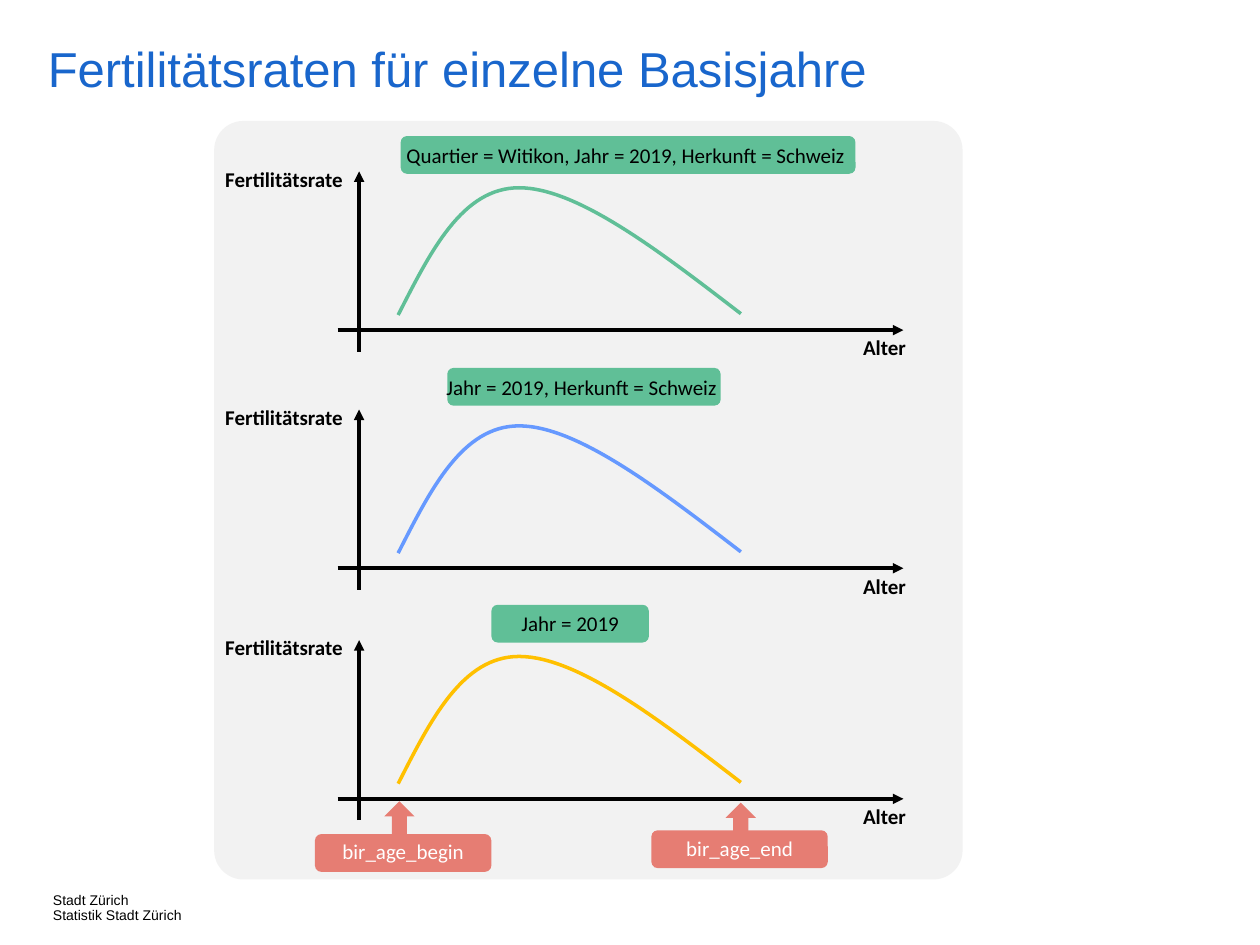
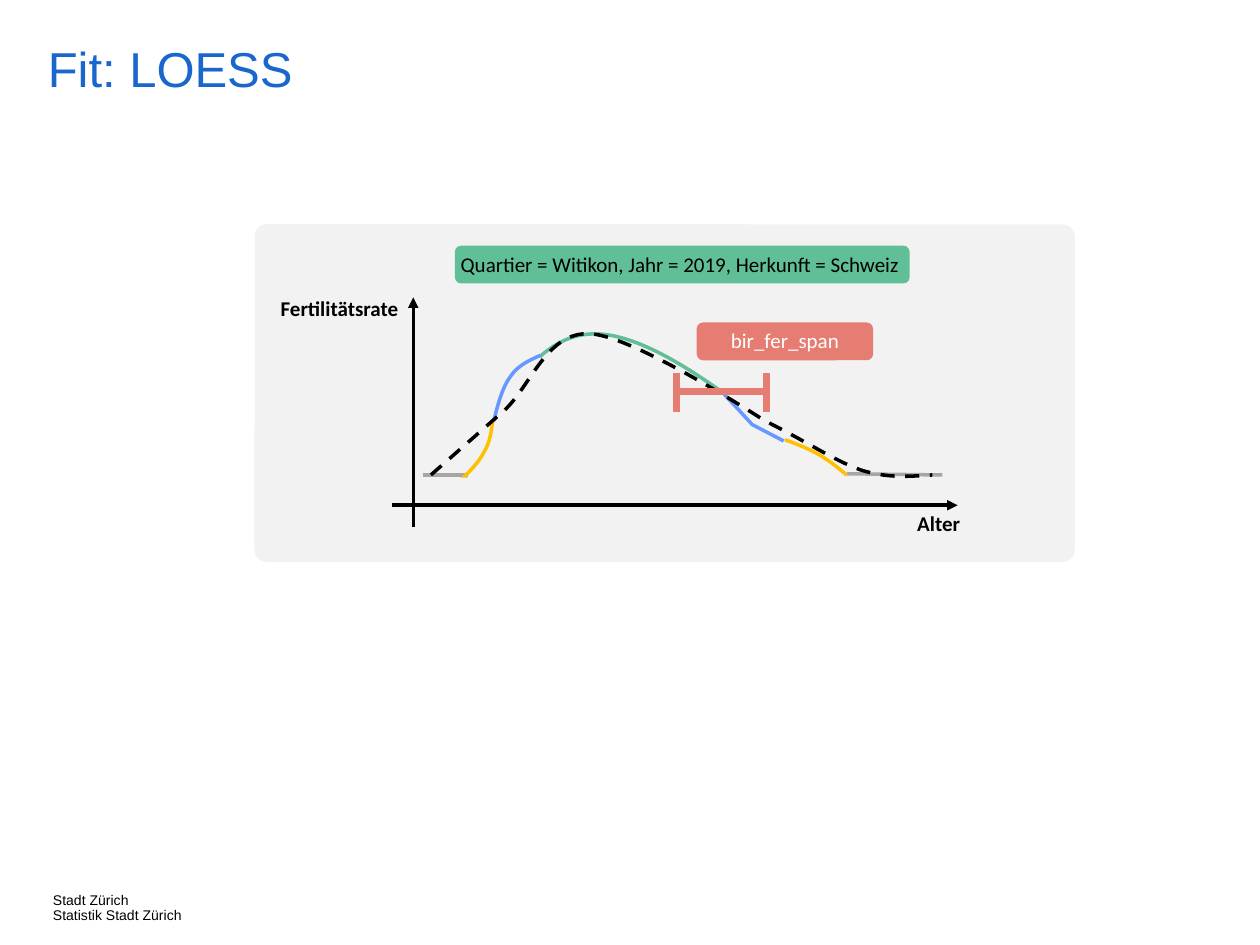
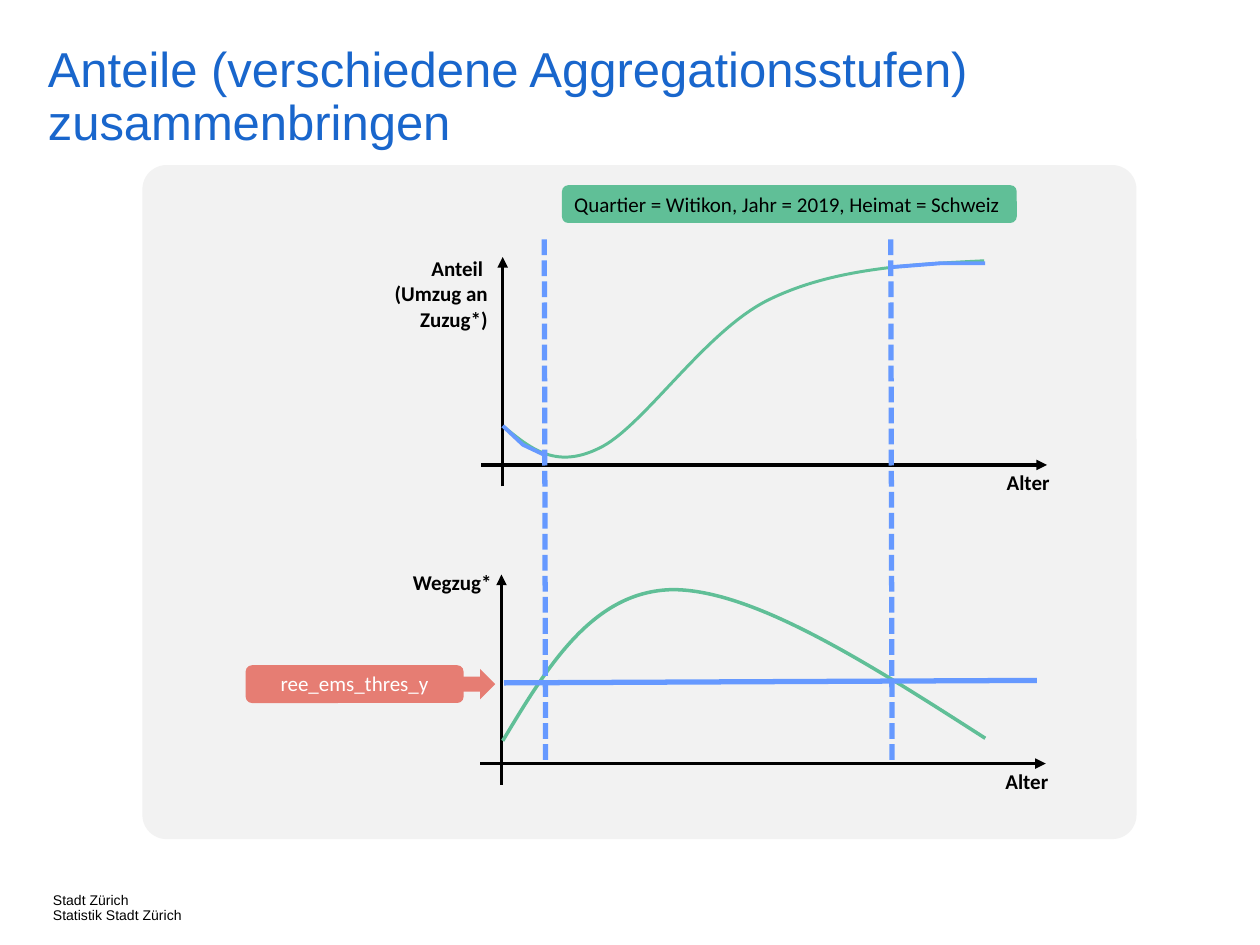
from dataclasses import dataclass
from itertools import chain, islice

from lxml import etree
from pptx import Presentation
from pptx.dml.color import RGBColor
from pptx.enum.dml import MSO_LINE
from pptx.enum.shapes import MSO_CONNECTOR, MSO_SHAPE
from pptx.enum.text import MSO_ANCHOR, MSO_AUTO_SIZE, PP_ALIGN
from pptx.oxml.ns import qn
from pptx.util import Inches, Pt

STRAIGHT = MSO_CONNECTOR.STRAIGHT
ROUNDED = MSO_SHAPE.ROUNDED_RECTANGLE
RECTANGLE = MSO_SHAPE.RECTANGLE
UP_ARROW = MSO_SHAPE.UP_ARROW
RIGHT_ARROW = MSO_SHAPE.RIGHT_ARROW
DASH = MSO_LINE.DASH
SHORT_DASH = MSO_LINE.SQUARE_DOT
TOP = MSO_ANCHOR.TOP
FIXED = MSO_AUTO_SIZE.NONE
LEFT = PP_ALIGN.LEFT
CENTER = PP_ALIGN.CENTER
RIGHT = PP_ALIGN.RIGHT
TITLE_ONLY = 5


@dataclass(frozen=True)
class Theme:
    title: str = "1966CC"
    black: str = "000000"
    white: str = "FFFFFF"
    panel: str = "F2F2F2"
    green: str = "60BF97"
    blue: str = "6699FF"
    yellow: str = "FFC000"
    red: str = "E67D73"
    gray: str = "A6A6A6"
    heading_font: str = "Arial"
    label_font: str = "Calibri"
    title_size: float = 28
    label_size: float = 12
    footer_size: float = 8
    line_width: float = 2


THEME = Theme()


def inches(values):
    return [Inches(value) for value in values]


def write(shape, text, *, size=THEME.label_size, font=THEME.label_font, color=THEME.black,
          bold=False, align=LEFT, spacing=1.0, inset=(0.1, 0.05)):
    frame = shape.text_frame
    frame.word_wrap = True
    frame.auto_size = FIXED
    frame.vertical_anchor = TOP
    frame.margin_left = frame.margin_right = Inches(inset[0])
    frame.margin_top = frame.margin_bottom = Inches(inset[1])
    frame.text = text
    for paragraph in frame.paragraphs:
        paragraph.alignment = align
        paragraph.line_spacing = spacing
        for run in paragraph.runs:
            run.font.size = Pt(size)
            run.font.name = font
            run.font.bold = bold
            run.font.color.rgb = RGBColor.from_string(color)


def add_text(shapes, box, text, **style):
    write(shapes.add_textbox(*inches(box)), text, **style)


def add_block(shapes, kind, box, color, corner=None):
    shape = shapes.add_shape(kind, *inches(box))
    shape.shadow.inherit = False
    shape.fill.solid()
    shape.fill.fore_color.rgb = RGBColor.from_string(color)
    shape.line.fill.background()
    if corner is not None:
        shape.adjustments[0] = corner


def format_line(line, color, width, dash):
    line.color.rgb = RGBColor.from_string(color)
    line.width = Pt(width)
    if dash:
        line.dash_style = dash


def add_line(shapes, start, end, color=THEME.black, width=THEME.line_width, dash=None, arrow=False):
    connector = shapes.add_connector(STRAIGHT, *inches(start + end))
    format_line(connector.line, color, width, dash)
    properties = connector.element.spPr
    etree.SubElement(properties, qn("a:effectLst"))
    if arrow:
        etree.SubElement(properties.find(qn("a:ln")), qn("a:tailEnd"), type="triangle")


def add_curve(shapes, start, segments, color, width=THEME.line_width, dash=None):
    builder = shapes.build_freeform(*inches(start))
    builder.add_line_segments([inches(point) for point in chain(*segments)], close=False)
    shape = builder.convert_to_shape()
    shape.shadow.inherit = False
    shape.fill.background()
    format_line(shape.line, color, width, dash)
    outline = next(shape.element.iter(qn("a:path")))
    steps = iter(outline.findall(qn("a:lnTo")))
    for segment in segments:
        first, *others = islice(steps, len(segment))
        if others:
            first.tag = qn("a:cubicBezTo")
        for step in others:
            first.append(step[0])
            outline.remove(step)


def add_tag(shapes, box, text, color=THEME.green, text_color=THEME.black, overhang=0.08, rise=0.0):
    left, top, width, height = box
    add_block(shapes, ROUNDED, box, color)
    add_text(shapes, (left - overhang, top - rise, width + 2 * overhang, height), text,
             color=text_color, align=CENTER)


def add_parameter(shapes, box, text, overhang=-0.01):
    add_tag(shapes, box, text, THEME.red, THEME.white, overhang, rise=0.01)


def add_axes(shapes, left, baseline, top, label, label_width=1.24, label_height=0.3,
             label_gap=0.02, label_rise=0.06):
    axis = left + 0.17
    add_line(shapes, (left, baseline), (left + 4.49, baseline), arrow=True)
    add_text(shapes, (left + 3.72, baseline - 0.01, 1.24, 0.3), "Alter", bold=True, align=CENTER)
    add_line(shapes, (axis, baseline + 0.17), (axis, top), arrow=True)
    add_text(shapes, (axis - label_gap - label_width, top - label_rise, label_width, label_height),
             label, bold=True, align=RIGHT)


def add_slide(presentation, title, panel, corner, title_width=8.4):
    slide = presentation.slides.add_slide(presentation.slide_layouts[TITLE_ONLY])
    heading = slide.shapes.title
    heading.left, heading.top, heading.width, heading.height = inches((0.38, 0.36, title_width, 0.64))
    write(heading, title, size=THEME.title_size, font=THEME.heading_font, color=THEME.title,
          spacing=0.9, inset=(0, 0))
    add_block(slide.shapes, ROUNDED, panel, THEME.panel, corner)
    add_text(slide.shapes, (0.42, 7.09, 1.31, 0.2), "Stadt Zürich\nStatistik Stadt Zürich",
             size=THEME.footer_size, font=THEME.heading_font, spacing=0.9, inset=(0, 0))
    return slide.shapes


def build_base_years(presentation):
    shapes = add_slide(presentation, "Fertilitätsraten für einzelne Basisjahre",
                       (1.7, 0.96, 5.94, 6.02), 0.039, title_width=9.62)
    levels = [
        (2.62, THEME.green, (3.18, 1.08, 3.61, 0.3),
         "Quartier = Witikon, Jahr = 2019, Herkunft = Schweiz ", 0.08),
        (4.51, THEME.blue, (3.55, 2.92, 2.17, 0.3), "Jahr = 2019, Herkunft = Schweiz ", 0.12),
        (6.34, THEME.yellow, (3.9, 4.8, 1.25, 0.3), "Jahr = 2019", 0.07),
    ]
    for baseline, color, box, text, overhang in levels:
        add_axes(shapes, 2.68, baseline, baseline - 1.26, "Fertilitätsrate",
                 label_gap=0.03, label_rise=0.09)
        peak = baseline - 1.13
        add_curve(shapes, (3.16, peak + 1.01),
                  [[(3.42, peak + 0.5), (3.67, peak), (4.12, peak)],
                   [(4.58, peak), (5.23, peak + 0.5), (5.88, peak + 1)]], color)
        add_tag(shapes, box, text, overhang=overhang)
    for left, top, text in [(2.5, 6.62, "bir_age_begin"), (5.17, 6.59, "bir_age_end")]:
        add_parameter(shapes.add_group_shape().shapes, (left, top, 1.4, 0.3), text)
    for left, top in [(3.05, 6.36), (5.76, 6.37)]:
        add_block(shapes, UP_ARROW, (left, top, 0.24, 0.28), THEME.red)


def build_loess(presentation):
    shapes = add_slide(presentation, "Fit: LOESS", (2.02, 1.78, 6.51, 2.68), 0.036)
    add_axes(shapes, 3.11, 4.01, 2.36, "Fertilitätsrate")
    add_curve(shapes, (3.68, 3.82),
              [[(3.95, 3.24), (4.23, 2.65), (4.72, 2.65)],
               [(5.21, 2.65), (5.91, 3.23), (6.62, 3.81)]], THEME.green)
    add_line(shapes, (6.72, 3.76), (7.48, 3.77), THEME.gray)
    add_line(shapes, (3.36, 3.77), (3.7, 3.77), THEME.gray)
    add_block(shapes, RECTANGLE, (3.7, 2.83, 0.59, 0.95), THEME.panel)
    add_curve(shapes, (4.29, 2.82),
              [[(4.2, 2.86), (4.11, 2.9), (4.05, 2.99)],
               [(3.99, 3.07), (3.95, 3.21), (3.92, 3.34)]], THEME.blue)
    add_curve(shapes, (3.91, 3.34),
              [[(3.9, 3.42), (3.89, 3.51), (3.84, 3.59)],
               [(3.8, 3.67), (3.72, 3.75), (3.64, 3.83)]], THEME.yellow)
    add_block(shapes, RECTANGLE, (5.47, 3.12, 1.25, 0.79), THEME.panel)
    add_curve(shapes, (5.74, 3.12), [[(5.97, 3.37)], [(6.22, 3.5)]], THEME.blue)
    add_curve(shapes, (6.23, 3.49),
              [[(6.34, 3.53), (6.44, 3.57), (6.52, 3.62)],
               [(6.6, 3.67), (6.66, 3.72), (6.72, 3.77)]], THEME.yellow)
    add_block(shapes, RECTANGLE, (3.6, 3.79, 0.35, 0.14), THEME.panel)
    add_curve(shapes, (3.42, 3.77),
              [[(4, 3.26)],
               [(4.21, 3.07), (4.34, 2.63), (4.68, 2.65)],
               [(5.03, 2.66), (6.07, 3.34), (6.07, 3.34)],
               [(6.43, 3.52), (6.61, 3.65), (6.83, 3.73)],
               [(7.05, 3.8), (7.23, 3.78), (7.4, 3.77)]], THEME.black, dash=DASH)
    add_tag(shapes, (3.61, 1.95, 3.61, 0.3), "Quartier = Witikon, Jahr = 2019, Herkunft = Schweiz ")
    add_parameter(shapes.add_group_shape().shapes, (5.53, 2.56, 1.4, 0.3), "bir_fer_span")
    span = shapes.add_group_shape().shapes
    add_line(span, (5.37, 3.11), (6.08, 3.11), THEME.red, 4)
    for end in (5.37, 6.08):
        add_line(span, (end, 2.96), (end, 3.27), THEME.red, 4)


def build_shares(presentation):
    shapes = add_slide(presentation, "Anteile (verschiedene Aggregationsstufen) zusammenbringen",
                       (1.13, 1.31, 7.89, 5.35), 0.036)
    add_curve(shapes, (3.99, 3.38),
              [[(4.2, 3.55), (4.4, 3.73), (4.75, 3.56)],
               [(5.1, 3.4), (5.59, 2.63), (6.1, 2.38)],
               [(6.61, 2.13), (7.21, 2.1), (7.81, 2.07)]], THEME.green, 1.7)
    add_axes(shapes, 3.81, 6.06, 4.56, "Wegzug*", label_width=1.85, label_gap=-0.02, label_rise=0.09)
    add_axes(shapes, 3.82, 3.69, 2.04, "Anteil \v(Umzug an Zuzug*)", label_height=0.71)
    add_curve(shapes, (7.82, 2.09), [[(7.46, 2.09)], [(7.08, 2.12)]], THEME.blue, 2.2)
    add_curve(shapes, (3.99, 5.88),
              [[(4.35, 5.28), (4.71, 4.69), (5.34, 4.68)],
               [(5.98, 4.68), (6.9, 5.27), (7.82, 5.86)]], THEME.green)
    add_tag(shapes, (4.46, 1.47, 3.61, 0.3), "Quartier = Witikon, Jahr = 2019, Heimat = Schweiz ")
    add_line(shapes, (4, 5.42), (8.23, 5.4), THEME.blue, 3)
    add_curve(shapes, (3.99, 3.38), [[(4.15, 3.53)], [(4.34, 3.62)]], THEME.blue, 2.2)
    for age in (7.07, 4.32):
        add_line(shapes, (age, 1.9), (age + 0.01, 6.07), THEME.blue, 3, SHORT_DASH)
    threshold = shapes.add_group_shape().shapes
    add_parameter(threshold, (1.95, 5.28, 1.73, 0.3), "ree_ems_thres_y", overhang=0.05)
    add_block(threshold, RIGHT_ARROW, (3.65, 5.31, 0.28, 0.24), THEME.red)


def main():
    presentation = Presentation()
    presentation.slide_width = Inches(10)
    presentation.slide_height = Inches(7.5)
    build_base_years(presentation)
    build_loess(presentation)
    build_shares(presentation)
    presentation.save("out.pptx")


if __name__ == "__main__":
    main()
